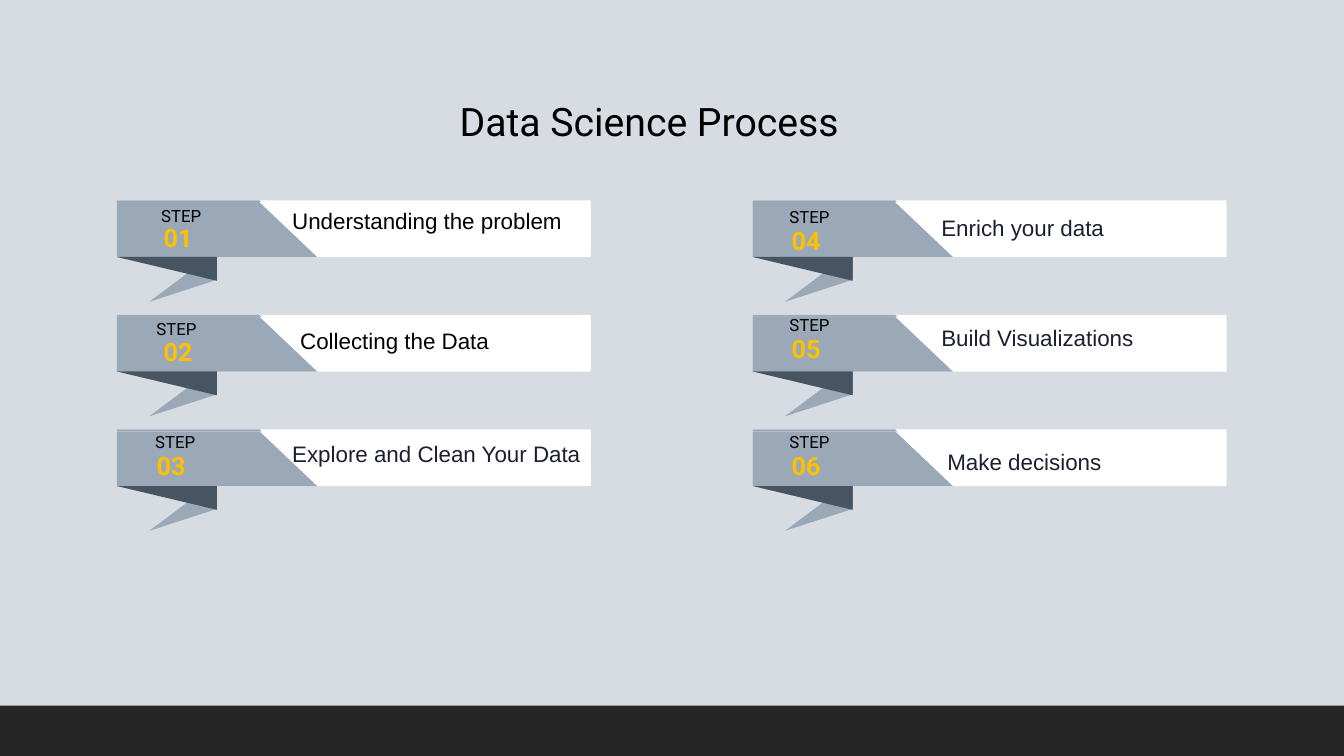
import dataclasses

import pptx
import pptx.dml.color
import pptx.enum.shapes
import pptx.enum.text
import pptx.util

PRESET = pptx.enum.shapes.MSO_SHAPE
ALIGN = pptx.enum.text.PP_ALIGN


@dataclasses.dataclass(frozen=True)
class Theme:
    """Colours, fonts and type sizes."""
    background: str = "D7DCE2"
    footer: str = "262626"
    band: str = "FFFFFF"
    ribbon: str = "9BA8B7"
    fold: str = "475462"
    text: str = "000000"
    navy: str = "1B2031"
    accent: str = "FFC000"
    heading_font: str = "Roboto"
    label_font: str = "Arial"
    title_size: int = 28
    number_size: int = 18
    label_size: int = 16
    step_size: int = 12


@dataclasses.dataclass(frozen=True)
class Step:
    """One step; each offset is measured from the banner's top left corner."""
    number: str
    label: str
    label_color: str
    step_offset: tuple
    number_offset: tuple
    label_offset: tuple


THEME = Theme()

# Banner grid, in percent of the slide's width and height
FIRST_LEFT, FIRST_TOP = 8.7, 26.5
COLUMN_PITCH, ROW_PITCH = 47.3, 15.15
ROWS = 3
BAND_WIDTH, BAND_HEIGHT = 35.25, 7.25
RIBBON_WIDTH, RIBBON_SHOULDER = 14.9, 10.6
FOLD_WIDTH, FOLD_HEIGHT = 7.45, 3.15
LAYER_SHIFT = 0.25

# Steps run down the left column, then down the right one
STEPS = [
    Step("01", "Understanding the problem", THEME.text,
         (2.55, 0.05), (2.1, 2.3), (12.3, 0.3)),
    Step("02", "Collecting the Data", THEME.text,
         (2.2, -0.2), (2.1, 2.2), (12.9, 0.9)),
    Step("03", "Explore and Clean Your Data", THEME.navy,
         (2.1, -0.4), (1.58, 2.15), (12.3, 0.8)),
    Step("04", "Enrich your data", THEME.navy,
         (2, 0.15), (1.53, 2.7), (13.3, 1.1)),
    Step("05", "Build Visualizations", THEME.navy,
         (2, -0.7), (1.53, 1.8), (13.3, 0.5)),
    Step("06", "Make decisions", THEME.navy,
         (2, -0.4), (1.53, 2.15), (13.75, 1.85)),
]


def write_text(frame, text, *, font, size, color, bold=False, align=ALIGN.LEFT):
    """Fill a text frame with one formatted paragraph."""
    frame.word_wrap = True
    frame.auto_size = pptx.enum.text.MSO_AUTO_SIZE.SHAPE_TO_FIT_TEXT
    paragraph = frame.paragraphs[0]
    paragraph.alignment = align
    run = paragraph.add_run()
    run.text = text
    run.font.name = font
    run.font.size = pptx.util.Pt(size)
    run.font.bold = bold
    run.font.color.rgb = pptx.dml.color.RGBColor.from_string(color)


class SlideBuilder:
    """Holds the theme and the current slide; lengths are slide percentages."""

    def __init__(self, presentation, theme):
        self.theme = theme
        self.width = presentation.slide_width
        self.height = presentation.slide_height
        self.slide = presentation.slides.add_slide(presentation.slide_layouts[6])
        fill = self.slide.background.fill
        fill.solid()
        fill.fore_color.rgb = pptx.dml.color.RGBColor.from_string(theme.background)

    def point(self, x, y):
        return round(self.width * x / 100), round(self.height * y / 100)

    def paint(self, shape, color):
        shape.shadow.inherit = False
        shape.fill.solid()
        shape.fill.fore_color.rgb = pptx.dml.color.RGBColor.from_string(color)
        shape.line.fill.background()

    def preset(self, parent, kind, box, color, flips=(), rotation=0):
        shape = parent.shapes.add_shape(
            kind, *self.point(*box[:2]), *self.point(*box[2:]))
        self.paint(shape, color)
        shape.rotation = rotation
        for flip in flips:
            shape.element.spPr.get_or_add_xfrm().set(flip, "1")

    def polygon(self, parent, points, color):
        start, *others = [self.point(*corner) for corner in points]
        outline = parent.shapes.build_freeform(*start)
        outline.add_line_segments(others, close=True)
        self.paint(outline.convert_to_shape(), color)

    def text(self, text, box, **style):
        shape = self.slide.shapes.add_textbox(
            *self.point(*box[:2]), *self.point(*box[2:]))
        write_text(shape.text_frame, text, **style)

    def banner(self, left, top):
        """Folded ribbon: a tail behind two slightly shifted layers."""
        theme = self.theme
        group = self.slide.shapes.add_group_shape()
        self.preset(group, PRESET.RIGHT_TRIANGLE, (left + 2, top + 8.85, 5.3, 3.2),
                    theme.ribbon, flips=["flipH"], rotation=342)
        for layer_top in (top, top + LAYER_SHIFT):
            bottom = layer_top + BAND_HEIGHT
            self.preset(group, PRESET.RECTANGLE,
                        (left, layer_top, BAND_WIDTH, BAND_HEIGHT), theme.band)
            self.polygon(group, [(left, layer_top),
                                 (left + RIBBON_SHOULDER, layer_top),
                                 (left + RIBBON_WIDTH, bottom),
                                 (left, bottom)], theme.ribbon)
            self.preset(group, PRESET.RIGHT_TRIANGLE,
                        (left, bottom, FOLD_WIDTH, FOLD_HEIGHT),
                        theme.fold, flips=["flipH", "flipV"])

    def step_text(self, step, left, top):
        theme = self.theme

        def place(offset, width, height):
            return left + offset[0], top + offset[1], width, height

        self.text("STEP", place(step.step_offset, 4.9, 4),
                  font=theme.heading_font, size=theme.step_size, color=theme.text)
        self.text(step.number, place(step.number_offset, 4.9, 5.35),
                  font=theme.heading_font, size=theme.number_size,
                  color=theme.accent, bold=True, align=ALIGN.CENTER)
        self.text(step.label, place(step.label_offset, 24.8, 4.95),
                  font=theme.label_font, size=theme.label_size,
                  color=step.label_color)


def main():
    presentation = pptx.Presentation()
    presentation.slide_width = pptx.util.Inches(13.33)
    presentation.slide_height = pptx.util.Inches(7.5)
    builder = SlideBuilder(presentation, THEME)

    # Footer bar
    builder.preset(builder.slide, PRESET.RECTANGLE, (0, 93.33, 100, 6.67),
                   THEME.footer)

    # Banners with their step texts
    for index, step in enumerate(STEPS):
        column, row = divmod(index, ROWS)
        left = FIRST_LEFT + column * COLUMN_PITCH
        top = FIRST_TOP + row * ROW_PITCH
        builder.banner(left, top)
        builder.step_text(step, left, top)

    # Title
    builder.text("Data Science Process", (10.25, 12.25, 76.1, 7.6),
                 font=THEME.heading_font, size=THEME.title_size,
                 color=THEME.text, align=ALIGN.CENTER)

    presentation.save("out.pptx")


if __name__ == "__main__":
    main()
